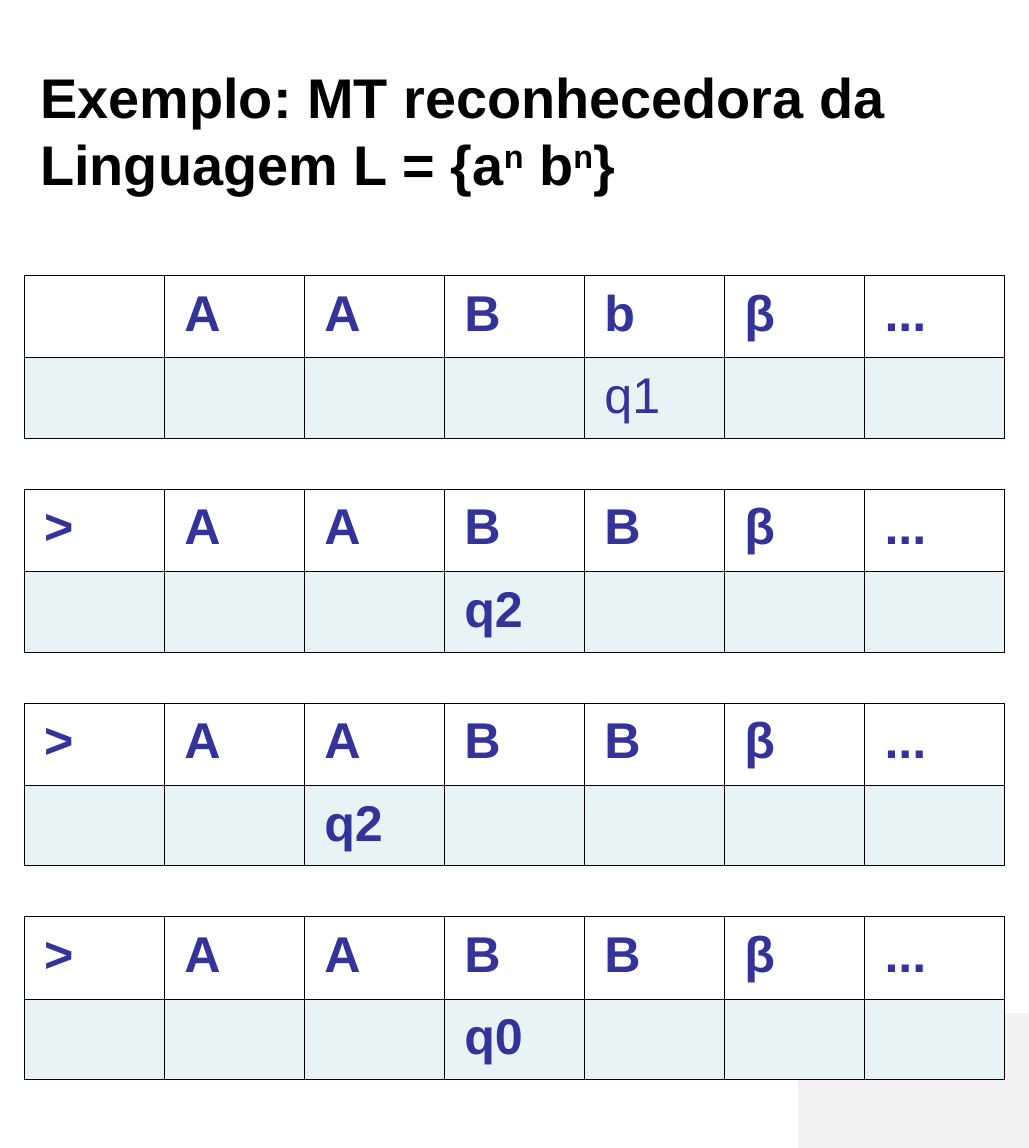
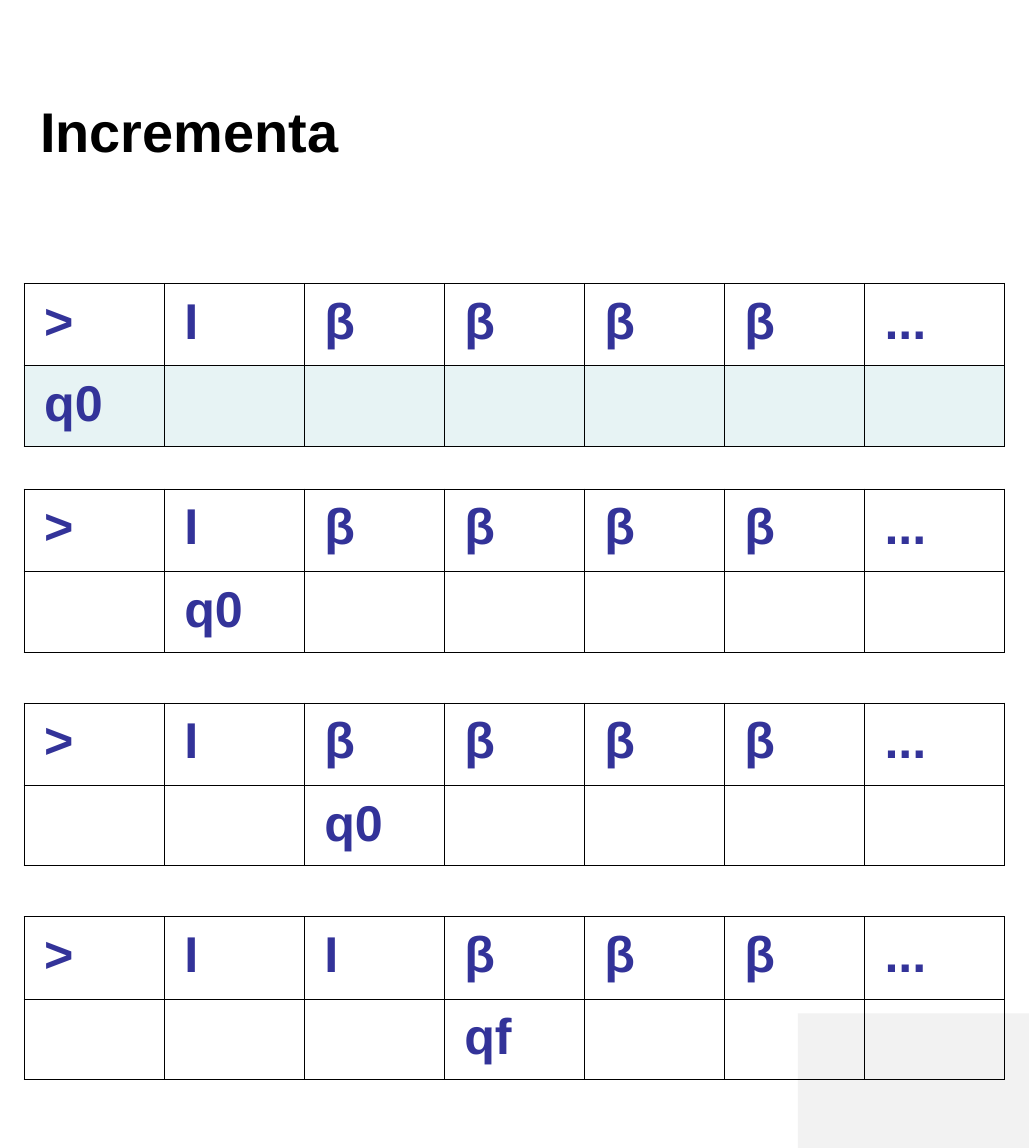
import pptx
import pptx.dml.color
import pptx.enum.shapes
import pptx.enum.text
import pptx.oxml
import pptx.oxml.ns
import pptx.util

Inches = pptx.util.Inches
COLORS = {"title": "000000", "symbol": "333399", "head_row": "E7F3F4",
          "corner": "F2F2F2", "border": "000000"}
SLIDE_WIDTH, SLIDE_HEIGHT = 5.12, 5.71
TAPE_LEFT, TAPE_WIDTH = 0.12, 4.88
ROW_HEIGHTS = (0.41, 0.4)
FIRST_TOP, LAST_TOP, TAPE_COUNT = 1.37, 4.56, 4
TAPE_STEP = (LAST_TOP - FIRST_TOP) / (TAPE_COUNT - 1)


def rgb(name):
    return pptx.dml.color.RGBColor.from_string(COLORS[name])


class TapeDeck:
    """Holds the style and the current slide."""

    def __init__(self):
        self.deck = pptx.Presentation()
        self.deck.slide_width = Inches(SLIDE_WIDTH)
        self.deck.slide_height = Inches(SLIDE_HEIGHT)
        self.slide = None

    def add_slide(self, title_parts):
        self.slide = self.deck.slides.add_slide(self.deck.slide_layouts[5])
        self.corner()
        self.title(title_parts)

    def style(self, paragraph, size, color):
        paragraph.font.name = "Arial"
        paragraph.font.size = pptx.util.Pt(size)
        paragraph.font.bold = True
        paragraph.font.color.rgb = rgb(color)

    def corner(self):
        width, height = 1.15, 0.67
        corner = self.slide.shapes.add_shape(
            pptx.enum.shapes.MSO_SHAPE.RECTANGLE,
            Inches(SLIDE_WIDTH - width), Inches(SLIDE_HEIGHT - height),
            Inches(width), Inches(height))
        corner.shadow.inherit = False
        corner.fill.solid()
        corner.fill.fore_color.rgb = rgb("corner")
        corner.line.fill.background()

    def title(self, parts):
        """Each part is a pair: text, and whether it is superscript."""
        title = self.slide.shapes.title
        title.left = title.top = 0
        title.width, title.height = Inches(SLIDE_WIDTH), Inches(1.29)
        frame = title.text_frame
        frame.word_wrap = True
        frame.auto_size = pptx.enum.text.MSO_AUTO_SIZE.NONE
        frame.vertical_anchor = pptx.enum.text.MSO_ANCHOR.MIDDLE
        frame.margin_left = Inches(0.2)
        heading = frame.paragraphs[0]
        heading.alignment = pptx.enum.text.PP_ALIGN.LEFT
        self.style(heading, 20, "title")
        for text, raised in parts:
            run = heading.add_run()
            run.text = text
            if raised:
                run.font._element.set("baseline", "30000")

    def borders(self, cell):
        properties = cell._tc.get_or_add_tcPr()
        for side in ("lnL", "lnR", "lnT", "lnB"):
            properties.append(pptx.oxml.parse_xml(
                f'<a:{side} {pptx.oxml.ns.nsdecls("a")} w="{pptx.util.Pt(0.45)}">'
                f'<a:solidFill><a:srgbClr val="{COLORS["border"]}"/></a:solidFill>'
                f'</a:{side}>'))

    def tape(self, top, symbols, state, position, tinted, bold_state=True):
        """A tape row above a row that marks the state at the head position."""
        states = [state if i == position else "" for i in range(len(symbols))]
        table = self.slide.shapes.add_table(
            2, len(symbols), Inches(TAPE_LEFT), Inches(top),
            Inches(TAPE_WIDTH), Inches(sum(ROW_HEIGHTS))).table
        table.first_row = table.horz_banding = False
        for column in table.columns:
            column.width = Inches(TAPE_WIDTH / len(symbols))
        for r, texts in enumerate((symbols, states)):
            table.rows[r].height = Inches(ROW_HEIGHTS[r])
            for c, text in enumerate(texts):
                cell = table.cell(r, c)
                self.borders(cell)
                if r == 1 and tinted:
                    cell.fill.solid()
                    cell.fill.fore_color.rgb = rgb("head_row")
                else:
                    cell.fill.background()
                content = cell.text_frame.paragraphs[0]
                self.style(content, 18, "symbol")
                if text:
                    content.add_run().text = text
                if r == 1:
                    content.font.bold = bold_state


# Title parts, shift of the first tape, number of tinted tapes, then tapes
SLIDES = [
    ([("Exemplo: MT reconhecedora da Linguagem L = {a", False), ("n", True),
      (" b", False), ("n", True), ("}", False)], 0, 4, [
        (["", "A", "A", "B", "b", "β", "..."], "q1", 4),
        ([">", "A", "A", "B", "B", "β", "..."], "q2", 3),
        ([">", "A", "A", "B", "B", "β", "..."], "q2", 2),
        ([">", "A", "A", "B", "B", "β", "..."], "q0", 3)]),
    ([("Incrementa", False)], 0.04, 1, [
        ([">", "I", "β", "β", "β", "β", "..."], "q0", 0),
        ([">", "I", "β", "β", "β", "β", "..."], "q0", 1),
        ([">", "I", "β", "β", "β", "β", "..."], "q0", 2),
        ([">", "I", "I", "β", "β", "β", "..."], "qf", 3)]),
]


def main():
    machine = TapeDeck()
    for title_parts, first_shift, tinted_count, tapes in SLIDES:
        machine.add_slide(title_parts)
        for i, (symbols, state, position) in enumerate(tapes):
            top = FIRST_TOP + i * TAPE_STEP + (first_shift if i == 0 else 0)
            machine.tape(top, symbols, state, position,
                         tinted=i < tinted_count, bold_state=state != "q1")
    machine.deck.save("out.pptx")


if __name__ == "__main__":
    main()
